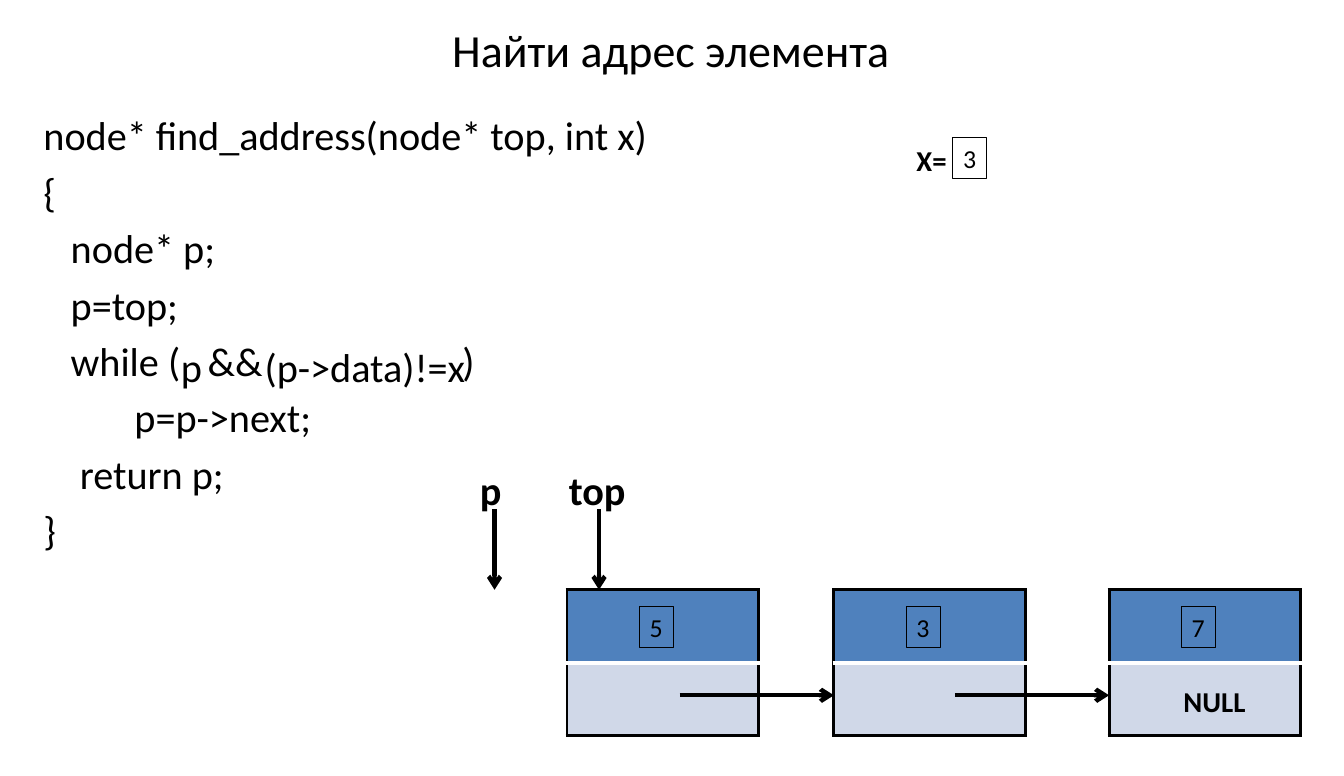
from dataclasses import dataclass
from itertools import pairwise
from typing import Any

from lxml.etree import SubElement
from pptx import Presentation
from pptx.dml.color import RGBColor
from pptx.enum.text import MSO_ANCHOR, MSO_AUTO_SIZE, PP_ALIGN
from pptx.oxml import parse_xml
from pptx.oxml.ns import nsdecls, qn
from pptx.util import Inches, Pt

BLACK, WHITE, BLUE, PALE = "000000", "FFFFFF", "4F81BD", "D0D8E8"
WIDE, ROW, TOP = 18.5, 7.05, 57
CODE = [
    "node* find_address(node* top, int x)",
    "{",
    "   node* p;",
    "   p=top;",
    "   while (",
    "          p=p->next;",
    "    return p;",
    "}",
]


@dataclass
class Node:
    left: float
    value: str


@dataclass
class Label:
    text: str
    left: float
    top: float
    wide: float
    high: float = 5.7
    size: int = 28
    bold: bool = True
    frame: bool = False


@dataclass
class Arrow:
    x: float
    y: float
    to_x: float
    to_y: float


def grid(n: float) -> int:
    return Inches(n / 10)


def ink(code: str) -> RGBColor:
    return RGBColor.from_string(code)


def apply(target: Any, values: dict) -> None:
    for name, value in values.items():
        setattr(target, name, value)


def place(shape: Any, left: float, top: float, wide: float, high: float) -> None:
    apply(shape, {"left": grid(left), "top": grid(top), "width": grid(wide), "height": grid(high)})


def letter(par: Any, size: int, bold: bool = False) -> None:
    for run in par.runs:
        apply(run.font, {"name": "Calibri", "size": Pt(size), "bold": bold})
        run.font.color.rgb = ink(BLACK)


def border(cell: Any, sides: dict[str, tuple[str, float]]) -> None:
    props = cell._tc.get_or_add_tcPr()
    for spot, (side, (code, width)) in enumerate(sides.items()):
        props.insert(spot, parse_xml(
            f'<a:ln{side} {nsdecls("a")} w="{Pt(width)}"><a:solidFill>'
            f'<a:srgbClr val="{code}"/></a:solidFill></a:ln{side}>'))


def draw_node(slide: Any, node: Node) -> None:
    table = slide.shapes.add_table(
        2, 1, grid(node.left), grid(TOP), grid(WIDE), grid(2 * ROW)).table
    apply(table, {"first_row": False, "horz_banding": False})
    edge, split = (BLACK, 2.25), (WHITE, 3)
    for row, (code, top, base) in enumerate([(BLUE, edge, split), (PALE, split, edge)]):
        table.rows[row].height = grid(ROW)
        cell = table.cell(row, 0)
        cell.fill.solid()
        cell.fill.fore_color.rgb = ink(code)
        border(cell, {"L": edge, "R": edge, "T": top, "B": base})


def draw_label(slide: Any, label: Label) -> None:
    box = slide.shapes.add_textbox(
        grid(label.left), grid(label.top), grid(label.wide), grid(label.high))
    apply(box.text_frame, {"text": label.text, "word_wrap": False,
                           "auto_size": MSO_AUTO_SIZE.SHAPE_TO_FIT_TEXT})
    letter(box.text_frame.paragraphs[0], label.size, label.bold)
    if label.frame:
        box.line.width = Pt(0.75)
        box.line.color.rgb = ink(BLACK)


def draw_arrow(slide: Any, arrow: Arrow) -> None:
    link = slide.shapes.add_connector(
        1, grid(arrow.x), grid(arrow.y), grid(arrow.to_x), grid(arrow.to_y))
    link.line.width = Pt(3)
    link.line.color.rgb = ink(BLACK)
    SubElement(link.line._get_or_add_ln(), qn("a:tailEnd"), type="arrow")
    SubElement(link._element.spPr, qn("a:effectLst"))


def digit(text: str, left: float, top: float) -> Label:
    return Label(text, left, top, 3.3, 4, 18, False, True)


def fill_title(title: Any) -> None:
    place(title, 6.4, 0, 116.9, 9.4)
    apply(title.text_frame, {"text": "Найти адрес элемента", "auto_size": MSO_AUTO_SIZE.NONE,
                             "vertical_anchor": MSO_ANCHOR.MIDDLE})
    par = title.text_frame.paragraphs[0]
    par.alignment = PP_ALIGN.CENTER
    letter(par, 32)


def fill_code(body: Any) -> None:
    place(body, 3.2, 10.2, 60.6, 49.5)
    frame = body.text_frame
    apply(frame, {"text": "\n".join(CODE), "auto_size": MSO_AUTO_SIZE.NONE})
    for par in frame.paragraphs:
        props = par._p.get_or_add_pPr()
        for name in ("marL", "indent"):
            props.set(name, "0")
        SubElement(props, qn("a:buNone"))
        letter(par, 28)
    frame.paragraphs[0].space_before = Pt(0)


def main() -> None:
    deck = Presentation()
    apply(deck, {"slide_width": grid(129.9), "slide_height": grid(75)})
    slide = deck.slides.add_slide(deck.slide_layouts[1])
    fill_title(slide.shapes.title)
    fill_code(slide.placeholders[1])

    nodes = [Node(54.8, "5"), Node(80.6, "3"), Node(107.2, "7")]
    for node in nodes:
        draw_node(slide, node)
    labels = [digit(node.value, node.left + 7, 58.6) for node in nodes] + [
        Label("NULL", 113.4, 65.6, 8.1, 4.4, 20),
        Label("top", 54, 44.5, 7.6),
        Label("p", 45.4, 44.5, 4.1),
        Label("X=", 87.6, 13.3, 5, 4.4, 20),
        digit("3", 92.1, 13.3),
        Label("p", 16.5, 32.6, 4.1, bold=False),
        Label("&&", 19.1, 32, 7.3, bold=False),
        Label("(p->data)!=x", 24.6, 32.6, 21.6, bold=False),
        Label(")", 43.7, 32, 3.2, bold=False),
    ]
    for label in labels:
        draw_label(slide, label)
    arrows = [Arrow(after.left - 14.9, 67.2, after.left, 67.2) for _, after in pairwise(nodes)]
    arrows += [Arrow(x, 49.2, x, TOP) for x in (57.9, 47.8)]
    for arrow in arrows:
        draw_arrow(slide, arrow)
    deck.save("out.pptx")


if __name__ == "__main__":
    main()
